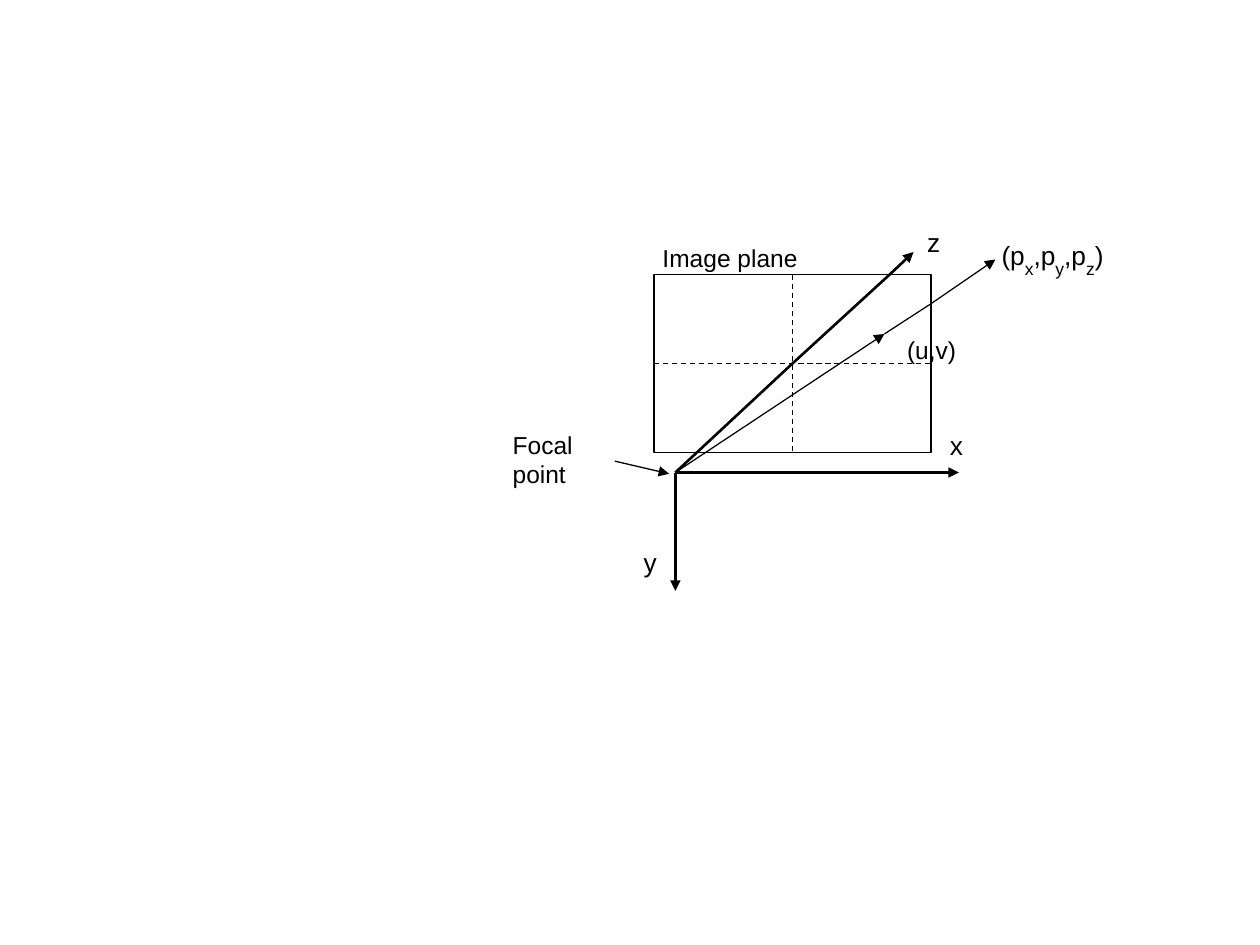
from dataclasses import dataclass

from lxml import etree
from pptx import Presentation
from pptx.dml.color import RGBColor
from pptx.enum import dml, shapes, text
from pptx.oxml import ns
from pptx.util import Inches, Pt


@dataclass(frozen=True)
class Theme:
    ink: RGBColor = RGBColor(0, 0, 0)
    font: str = "Arial"
    symbol: float = 15
    caption: float = 14
    subscript: float = 17.3
    axis: float = 1.5
    thin: float = 0.75
    ray: float = 0.71


theme = Theme()
prs = Presentation()
prs.slide_width, prs.slide_height = Inches(10), Inches(7.5)
slide = prs.slides.add_slide(prs.slide_layouts[6])


def draw_line(start, end, width, arrow=False, dashed=False):
    line = slide.shapes.add_connector(
        shapes.MSO_CONNECTOR.STRAIGHT, *(Inches(v) for v in (*start, *end)))
    line.line.color.rgb = theme.ink
    line.line.width = Pt(width)
    if dashed:
        line.line.dash_style = dml.MSO_LINE.DASH
    properties = line._element.spPr
    if arrow:
        etree.SubElement(properties.find(ns.qn("a:ln")), ns.qn("a:tailEnd"), type="triangle")
    etree.SubElement(properties, ns.qn("a:effectLst"))


def add_label(left, top, width, height, parts, size):
    """Write parts in turn; every second one is a subscript."""
    label = slide.shapes.add_textbox(*(Inches(v) for v in (left, top, width, height)))
    frame = label.text_frame
    frame.word_wrap = False
    frame.auto_size = text.MSO_AUTO_SIZE.SHAPE_TO_FIT_TEXT
    for i, part in enumerate(parts):
        run = frame.paragraphs[0].add_run()
        run.text = part
        run.font.name = theme.font
        run.font.color.rgb = theme.ink
        run.font.size = Pt(theme.subscript if i % 2 else size)
        if i % 2:
            run._r.get_or_add_rPr().set("baseline", "-33000")


# Image plane with dashed centre lines
left, top, right, bottom = 5.19, 2.18, 7.39, 3.59
center_x, center_y = (left + right) / 2, (top + bottom) / 2
plane = slide.shapes.add_shape(
    shapes.MSO_SHAPE.RECTANGLE, Inches(left), Inches(top),
    Inches(right - left), Inches(bottom - top))
plane.shadow.inherit = False
plane.fill.background()
plane.line.color.rgb = theme.ink
plane.line.width = Pt(theme.thin)
draw_line((left, center_y), (right, center_y), theme.thin, dashed=True)
draw_line((center_x, top), (center_x, bottom), theme.thin, dashed=True)

# Camera axes: y, x, and z in three stretches through the plane
focal_point = (5.36, 3.75)
draw_line(focal_point, (5.36, 4.69), theme.axis, arrow=True)
draw_line(focal_point, (7.61, 3.75), theme.axis, arrow=True)
z_stops = [focal_point, (center_x, center_y), (7.06, top), (7.25, 2)]
for start, end in zip(z_stops, z_stops[1:]):
    draw_line(start, end, theme.axis, arrow=end == z_stops[-1])

# Ray from the focal point through (u,v) to the point in space
ray_stops = [focal_point, (7.02, 2.65), (right, 2.41), (7.9, 2.06)]
for start, end in zip(ray_stops, ray_stops[1:]):
    draw_line(start, end, theme.ray, arrow=end != ray_stops[2])

# Pointer to the focal point
draw_line((4.88, 3.66), (5.31, 3.76), theme.thin, arrow=True)

# Axis letters
for letter, x, y in (("z", 7.26, 1.75), ("x", 7.44, 3.36), ("y", 5.01, 4.29)):
    add_label(x, y, 0.3, 0.33, [letter], theme.symbol)

# Captions and point names
for caption, x, y, width in (("Focal point", 3.97, 3.36, 1.15),
                             ("Image plane", 5.16, 1.88, 1.27),
                             ("(u,v)", 7.1, 2.61, 0.59)):
    add_label(x, y, width, 0.32, [caption], theme.caption)
add_label(7.85, 1.82, 1.01, 0.39, ["(p", "x", ",p", "y", ",p", "z", ")"], theme.symbol)

prs.save("out.pptx")
